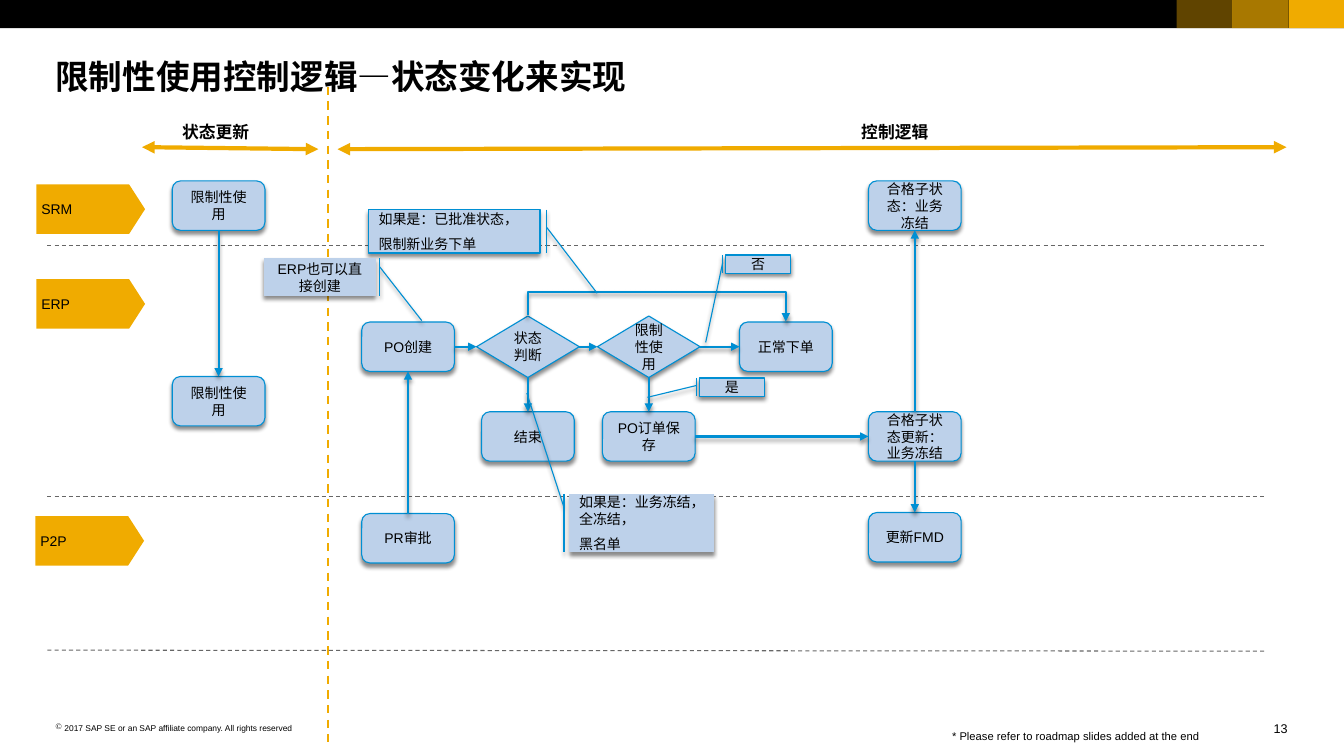
"""Build a flow slide on limited-use control logic across three system lanes."""
from dataclasses import dataclass
from typing import Any

from lxml import etree
from pptx import Presentation
from pptx import util as u
from pptx.dml import color as clr
from pptx.enum import dml, shapes, text
from pptx.oxml import ns

BLACK = clr.RGBColor(0x00, 0x00, 0x00)
WHITE = clr.RGBColor(0xFF, 0xFF, 0xFF)
GOLD = clr.RGBColor(0xF0, 0xAB, 0x00)
GREY = clr.RGBColor(0x66, 0x66, 0x66)
BLUE = clr.RGBColor(0x00, 0x8F, 0xD3)
PALE = clr.RGBColor(0xBD, 0xD1, 0xEA)
KIND = shapes.MSO_SHAPE
LEFT, MID, RIGHT = text.PP_ALIGN.LEFT, text.PP_ALIGN.CENTER, text.PP_ALIGN.RIGHT
BORDER = KIND.LINE_CALLOUT_1_BORDER_AND_ACCENT_BAR
PLAIN = KIND.LINE_CALLOUT_1_ACCENT_BAR
TOP, WEST, BASE, EAST = range(4)


@dataclass
class Node:
    key: str
    words: str
    x: float
    y: float
    kind: Any = KIND.ROUNDED_RECTANGLE
    size: tuple = (0.92, 0.49)


@dataclass
class Note:
    words: str
    box: tuple
    kind: Any
    bends: tuple
    flip: bool = False
    align: Any = MID


@dataclass
class Label:
    words: str
    box: tuple
    size: float
    bold: bool = False
    wrap: bool = True
    pad: tuple = (0, 0)
    align: Any = LEFT


@dataclass
class Rule:
    start: tuple
    end: tuple
    tint: Any
    width: float
    dash: bool = True


NODES = [
    Node("limit", "限制性使用", 2.17, 2.04),
    Node("copied", "限制性使用", 2.17, 3.98),
    Node("update", "合格子状态更新：业务冻结", 9.08, 4.33),
    Node("order", "正常下单", 7.8, 3.44),
    Node("create", "PO创建", 4.05, 3.44),
    Node("state", "状态判断", 5.24, 3.44, KIND.FLOWCHART_DECISION, (1.02, 0.61)),
    Node("end", "结束", 5.24, 4.33),
    Node("check", "限制性使用", 6.44, 3.44, KIND.FLOWCHART_DECISION, (1.02, 0.61)),
    Node("save", "PO订单保存", 6.44, 4.33),
    Node("freeze", "合格子状态：业务冻结", 9.08, 2.04),
    Node("request", "PR审批", 4.05, 5.34),
    Node("master", "更新FMD", 9.08, 5.33),
]
LINKS = [
    ("state", BASE, "end", TOP), ("limit", BASE, "copied", TOP),
    ("create", EAST, "state", WEST), ("state", EAST, "check", WEST),
    ("check", BASE, "save", TOP), ("save", EAST, "update", WEST),
    ("check", EAST, "order", WEST), ("update", TOP, "freeze", BASE),
    ("request", TOP, "create", BASE), ("update", BASE, "master", TOP),
]
NOTES = [
    Note("如果是：业务冻结，全冻结，\n黑名单", (5.65, 4.9, 1.44, 0.58), PLAIN,
         (0.232, -0.036, -1.725, -0.292), align=LEFT),
    Note("如果是：已批准状态，\n限制新业务下单", (3.66, 2.08, 1.7, 0.43), BORDER,
         (0.413, 1.04, 1.93, 1.334), align=LEFT),
    Note("是", (6.94, 3.75, 0.65, 0.18), BORDER, (0.413, 1.04, 1.067, 1.79), True),
    Note("ERP也可以直接创建", (2.62, 2.56, 1.11, 0.38), PLAIN,
         (0.232, -0.036, 1.636, -0.412), True),
    Note("否", (7.2, 2.53, 0.65, 0.18), BORDER, (0.413, 1.04, 4.819, 1.301), True),
]
LABELS = [
    Label("状态更新", (1.71, 1.16, 1.07, 0.3), 12, True, pad=(0.1, 0.05)),
    Label("控制逻辑", (8.45, 1.16, 0.88, 0.3), 12, True, False, (0.1, 0.05)),
    Label("* Please refer to roadmap slides added at the end", (9.45, 7.24, 3.26, 0.13), 8),
    Label("13", (12.63, 7.15, 0.15, 0.15), 9, wrap=False, align=RIGHT),
]
RIGHTS = Label("2017 SAP SE or an SAP affiliate company. All rights reserved",
               (0.55, 7.17, 2.48, 0.1), 6)
TITLE = Label("限制性使用控制逻辑—状态变化来实现", (0.55, 0.55, 12.23, 0.4), 24, True)
RULES = [
    Rule((3.26, 0.86), (3.26, 7.36), GOLD, 1.5),
    Rule((0.47, 2.44), (12.57, 2.44), GREY, 0.75),
    Rule((0.47, 4.93), (12.57, 4.93), GREY, 0.75),
    Rule((0.47, 6.45), (12.57, 6.46), GREY, 0.75),
]
SPANS = [
    Rule((1.41, 1.46), (3.16, 1.48), GOLD, 3, False),
    Rule((3.35, 1.48), (12.77, 1.46), GOLD, 3, False),
]
TAGS = [("SRM", 0.36, 1.83), ("ERP", 0.36, 2.77), ("P2P", 0.35, 5.12)]
BARS = [(0, 13.34, BLACK, 100), (12.79, 0.55, GOLD, 100),
        (12.23, 0.56, GOLD, 70), (11.68, 0.55, GOLD, 40)]


def put(item: Any, vals: dict) -> None:
    for name, val in vals.items():
        setattr(item, name, val)


def add(root: Any, tag: str, **vals: Any) -> Any:
    return etree.SubElement(root, ns.qn(tag), {k: str(v) for k, v in vals.items()})


def place(box: tuple) -> list:
    return [u.Inches(v) for v in box]


def write(shape: Any, words: str, size: float, align: Any, pad: tuple,
          bold: bool = False, wrap: bool = True, anchor: Any = text.MSO_ANCHOR.MIDDLE) -> None:
    frame = shape.text_frame
    side, rise = place(pad)
    put(frame, dict(text=words, word_wrap=wrap, vertical_anchor=anchor, margin_left=side,
                    margin_right=side, margin_top=rise, margin_bottom=rise))
    for i, para in enumerate(frame.paragraphs):
        put(para, dict(alignment=align, space_before=u.Pt(6 if i else 0)))
        for run in para.runs:
            put(run.font, dict(name="Arial", size=u.Pt(size), bold=bold))
            run.font.color.rgb = BLACK


def shade(shape: Any, drop: bool = True) -> None:
    fx = add(shape.element.spPr, "a:effectLst")
    if drop:
        cast = add(fx, "a:outerShdw", blurRad=u.Pt(3), dist=u.Pt(2.4), dir=5400000,
                   algn="ctr", rotWithShape=0)
        add(add(cast, "a:srgbClr", val="000000"), "a:alpha", val=45000)


def block(slide: Any, kind: Any, box: tuple, tint: Any, edge: bool = False) -> Any:
    shape = slide.shapes.add_shape(kind, *place(box))
    shape.fill.solid()
    shape.fill.fore_color.rgb = tint
    if edge:
        shape.line.color.rgb = BLUE
        shape.line.width = u.Pt(0.79)
        shade(shape)
    else:
        shape.line.fill.background()
        shape.shadow.inherit = False
    return shape


def stroke(slide: Any, rule: Rule, heads: tuple = (), drop: bool = False,
           kind: Any = shapes.MSO_CONNECTOR.STRAIGHT) -> Any:
    line = slide.shapes.add_connector(kind, *place(rule.start + rule.end))
    line.line.color.rgb = rule.tint
    line.line.width = u.Pt(rule.width)
    if rule.dash:
        line.line.dash_style = dml.MSO_LINE.DASH
    for head in heads:
        add(line.line._get_or_add_ln(), head, type="triangle")
    shade(line, drop)
    return line


def link(slide: Any, nodes: dict, path_ends: tuple, kind: Any) -> Any:
    first, out, last, into = path_ends
    line = stroke(slide, Rule((0, 0), (1, 1), BLUE, 1.5, False), ("a:tailEnd",), True, kind)
    line.begin_connect(nodes[first], out)
    line.end_connect(nodes[last], into)
    return line


def label(slide: Any, item: Label) -> Any:
    shape = slide.shapes.add_textbox(*place(item.box))
    write(shape, item.words, item.size, item.align, item.pad, item.bold, item.wrap,
          text.MSO_ANCHOR.TOP)
    return shape


def main() -> None:
    deck = Presentation()
    put(deck, dict(slide_width=u.Inches(13.34), slide_height=u.Inches(7.5)))
    slide = deck.slides.add_slide(deck.slide_layouts[5])
    title = slide.shapes.title
    put(title, dict(zip(("left", "top", "width", "height"), place(TITLE.box))))
    write(title, TITLE.words, TITLE.size, LEFT, TITLE.pad, TITLE.bold)
    for x, wide, tint, alpha in BARS:
        bar = block(slide, KIND.RECTANGLE, (x, 0, wide, 0.28), tint)
        if alpha < 100:
            for hue in bar.element.spPr.iterfind(ns.qn("a:solidFill") + "/" + ns.qn("a:srgbClr")):
                add(hue, "a:alpha", val=alpha * 1000)
    for rule in RULES:
        stroke(slide, rule)
    for span in SPANS:
        stroke(slide, span, ("a:headEnd", "a:tailEnd"))
    for words, x, y in TAGS:
        tag = block(slide, KIND.PENTAGON, (x, y, 1.08, 0.49), GOLD)
        tag.adjustments[0] = 0.322
        write(tag, words, 10, LEFT, (0.05, 0.05))
    for item in LABELS:
        label(slide, item)
    props = label(slide, RIGHTS).text_frame.paragraphs[0]._p.get_or_add_pPr()
    put_in = u.Inches(0.09)
    props.set("marL", str(put_in))
    props.set("indent", str(-put_in))
    add(props, "a:buChar", char="©")
    nodes = {}
    for node in NODES:
        wide, high = node.size
        box = (node.x - wide / 2, node.y - high / 2, wide, high)
        nodes[node.key] = block(slide, node.kind, box, PALE, True)
        write(nodes[node.key], node.words, 10, MID, (0.1, 0.08))
    for ends in LINKS:
        link(slide, nodes, ends, shapes.MSO_CONNECTOR.STRAIGHT)
    bend = link(slide, nodes, ("state", TOP, "order", TOP), shapes.MSO_CONNECTOR.ELBOW)
    put(bend, dict(zip(("left", "top", "width", "height"), place((6.49, 1.88, 0.06, 2.56)))))
    frame = bend.element.spPr.find(ns.qn("a:xfrm"))
    frame.set("rot", "16200000")
    frame.set("flipH", "1")
    guides = bend.element.spPr.find(ns.qn("a:prstGeom")).find(ns.qn("a:avLst"))
    add(guides, "a:gd", name="adj1", fmla="val -396200")
    for note in NOTES:
        shape = block(slide, note.kind, note.box, PALE, True)
        for i, bend_at in enumerate(note.bends):
            shape.adjustments[i] = bend_at
        if note.flip:
            shape.element.spPr.find(ns.qn("a:xfrm")).set("flipH", "1")
        write(shape, note.words, 10, note.align, (0.1, 0.08))
    deck.save("out.pptx")


if __name__ == "__main__":
    main()
